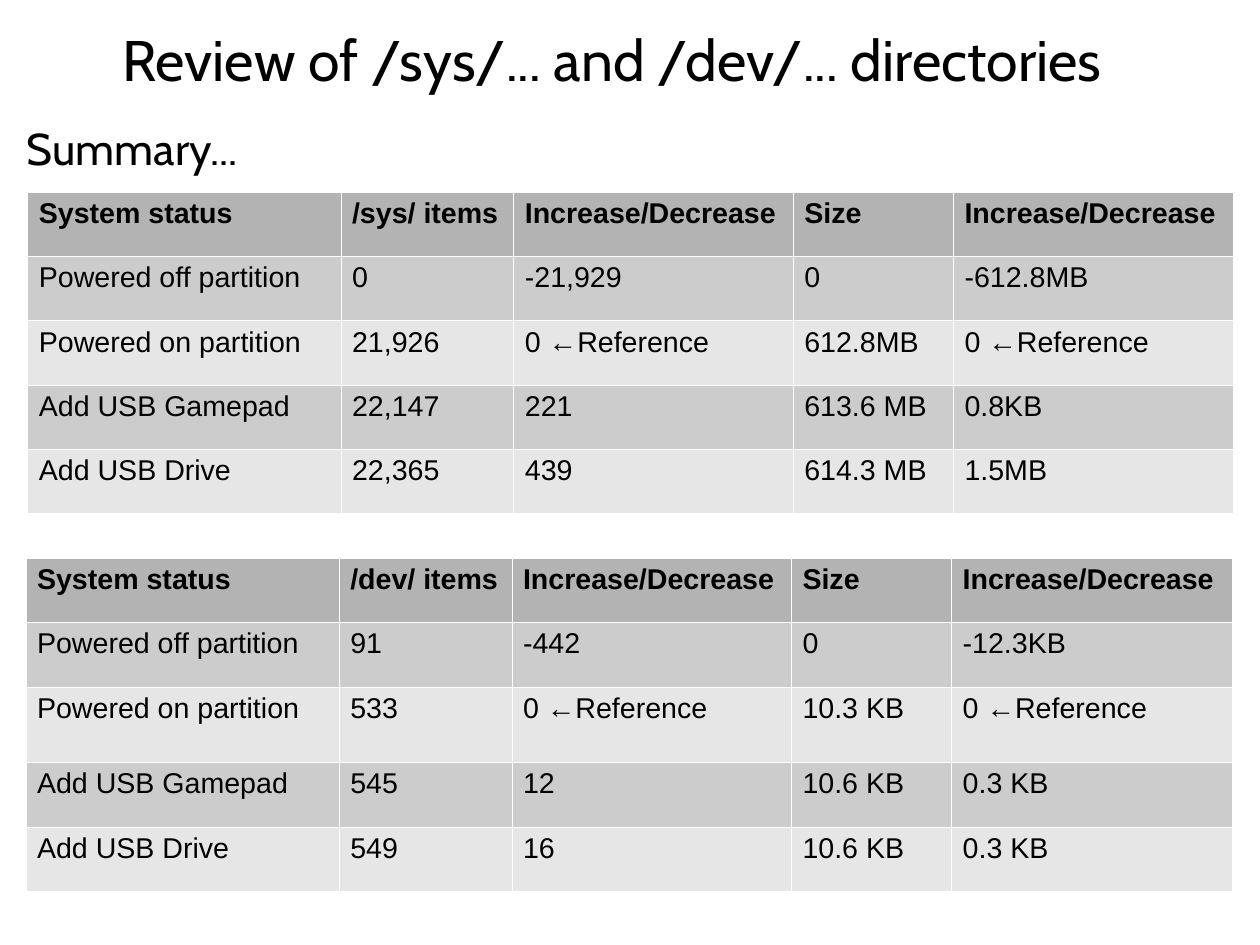
from dataclasses import dataclass

from lxml import etree
from pptx import Presentation
from pptx.dml.color import RGBColor
from pptx.enum.text import MSO_ANCHOR, MSO_AUTO_SIZE, PP_ALIGN
from pptx.oxml.ns import qn
from pptx.util import Pt

PX = 3600  # ten px to the millimetre
MIDDLE, TOP = MSO_ANCHOR.MIDDLE, MSO_ANCHOR.TOP
CENTER, LEFT = PP_ALIGN.CENTER, PP_ALIGN.LEFT
NO_FIT = MSO_AUTO_SIZE.NONE
TITLE_ONLY = 5


@dataclass(frozen=True)
class Theme:
    ink: str = "000000"
    paper: str = "FFFFFF"
    header: str = "B3B3B3"
    bands: tuple = ("CCCCCC", "E6E6E6")
    display: str = "Cabin"
    body: str = "Arial"
    title: int = 36
    lead: int = 28
    cell: int = 18
    rule: int = 762  # border width in EMU


THEME = Theme()
COLS = (696, 384, 621, 356, 623)
ROW = 143

SYS_ROWS = (
    ("System status", "/sys/ items", "Increase/Decrease", "Size", "Increase/Decrease"),
    ("Powered off partition", "0", "-21,929", "0", "-612.8MB"),
    ("Powered on partition", "21,926", "0 ←Reference", "612.8MB", "0 ←Reference"),
    ("Add USB Gamepad", "22,147", "221", "613.6 MB", "0.8KB"),
    ("Add USB Drive", "22,365", "439", "614.3 MB", "1.5MB"),
)
DEV_ROWS = (
    ("System status", "/dev/ items", "Increase/Decrease", "Size", "Increase/Decrease"),
    ("Powered off partition", "91", "-442", "0", "-12.3KB"),
    ("Powered on partition", "533", "0 ←Reference", "10.3 KB", "0 ←Reference"),
    ("Add USB Gamepad", "545", "12", "10.6 KB", "0.3 KB"),
    ("Add USB Drive", "549", "16", "10.6 KB", "0.3 KB"),
)


def scale(*sizes):
    return [size * PX for size in sizes]


def style(para, face, size, bold=False):
    font = para.font
    font.name, font.size, font.bold = face, Pt(size), bold
    font.color.rgb = RGBColor.from_string(THEME.ink)


def heading(shape, box, text, size, align, anchor):
    """Place one line of display text in its box."""
    shape.left, shape.top, shape.width, shape.height = scale(*box)
    frame = shape.text_frame
    frame.text = text
    frame.word_wrap = True
    frame.auto_size = NO_FIT
    frame.vertical_anchor = anchor
    frame.margin_left = frame.margin_right = 0
    frame.margin_top = frame.margin_bottom = 0
    para = frame.paragraphs[0]
    para.alignment = align
    style(para, THEME.display, size)


def border(cell):
    """Draw a thin rule on all four sides of a cell."""
    props = cell._tc.get_or_add_tcPr()
    for side in ("a:lnL", "a:lnR", "a:lnT", "a:lnB"):
        line = etree.SubElement(props, qn(side), w=str(THEME.rule))
        fill = etree.SubElement(line, qn("a:solidFill"))
        etree.SubElement(fill, qn("a:srgbClr"), val=THEME.paper)


def status(slide, left, top, rows, tall=None):
    """Add a status table; tall maps a row number to its own height."""
    highs = [(tall or {}).get(num, ROW) for num in range(len(rows))]
    box = scale(left, top, sum(COLS), sum(highs))
    table = slide.shapes.add_table(len(rows), len(COLS), *box).table
    table.horz_banding = False
    for col, width in zip(table.columns, COLS):
        col.width = width * PX
    for num, (row, high, texts) in enumerate(zip(table.rows, highs, rows)):
        row.height = high * PX
        shade = THEME.bands[(num - 1) % 2] if num else THEME.header
        for cell, text in zip(row.cells, texts):
            border(cell)
            cell.fill.solid()
            cell.fill.fore_color.rgb = RGBColor.from_string(shade)
            cell.text = text
            style(cell.text_frame.paragraphs[0], THEME.body, THEME.cell, num == 0)


def review(deck):
    slide = deck.slides.add_slide(deck.slide_layouts[TITLE_ONLY])
    # Title and lead line
    heading(slide.shapes.title, (100, 61, 2520, 140),
            "Review of /sys/... and /dev/... directories",
            THEME.title, CENTER, MIDDLE)
    box = (60, 269, 2660, 249)
    heading(slide.shapes.add_textbox(*scale(*box)), box,
            "Summary...", THEME.lead, LEFT, TOP)
    # Tables
    status(slide, 61, 426, SYS_ROWS)
    status(slide, 57, 1240, DEV_ROWS, {2: 168})


def main():
    deck = Presentation()
    deck.slide_width, deck.slide_height = scale(2800, 2100)
    review(deck)
    deck.save("out.pptx")


if __name__ == "__main__":
    main()
